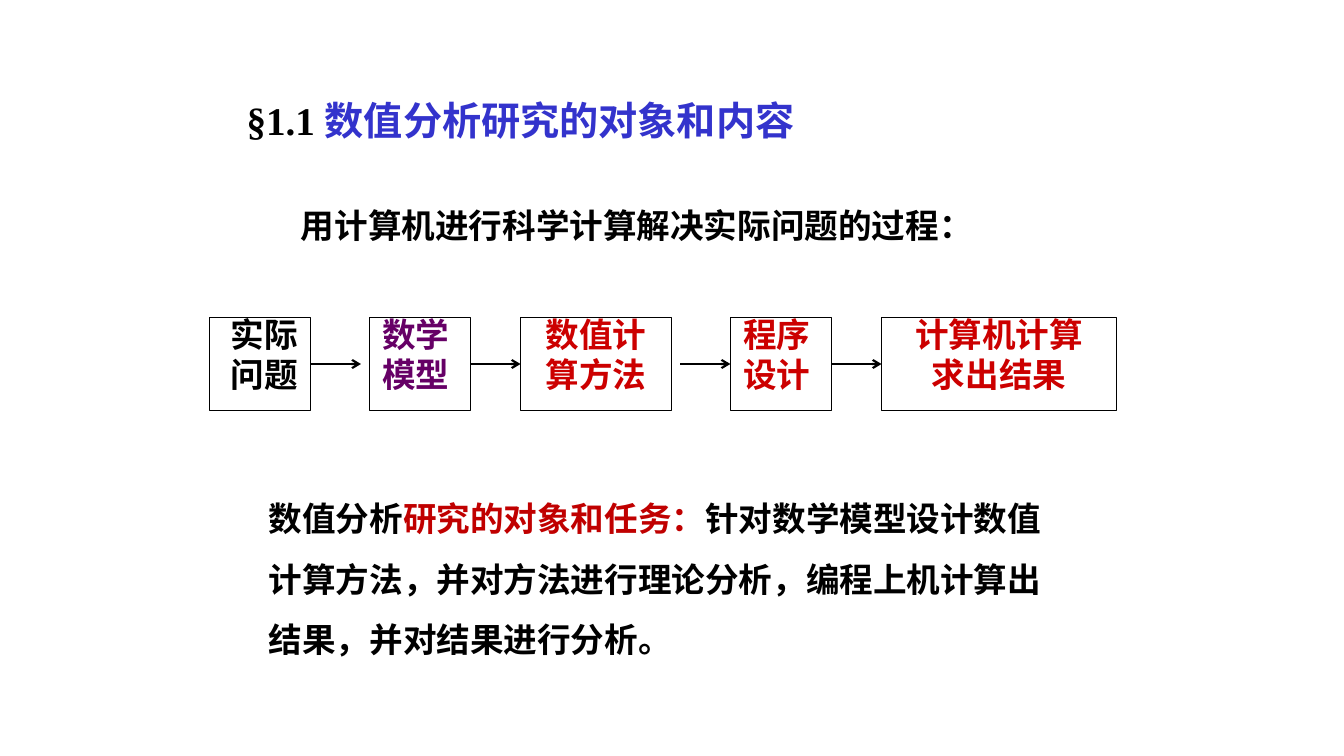
import pptx
import pptx.util
import pptx.dml.color
import pptx.enum.shapes
import pptx.enum.text
import pptx.oxml
import pptx.oxml.ns

Pt = pptx.util.Pt
RGBColor = pptx.dml.color.RGBColor
ALIGN = pptx.enum.text.PP_ALIGN

BLACK = RGBColor(0x00, 0x00, 0x00)
BLUE = RGBColor(0x33, 0x33, 0xCC)
PURPLE = RGBColor(0x66, 0x00, 0x66)
RED = RGBColor(0xCC, 0x00, 0x00)
DARK_RED = RGBColor(0xC0, 0x00, 0x00)

SERIF = "Times New Roman"
CHINESE = "Noto Sans CJK SC"


class SlideBuilder:
    """Holds the text style and the current slide."""

    def __init__(self, slide, size=24):
        self.slide = slide
        self.size = size

    def fill_text(self, shape, paragraphs, size=None, align=ALIGN.LEFT, spacing=1.0,
                  before=0, wrap=True):
        """Each paragraph is a list of (text, font, colour) runs."""
        frame = shape.text_frame
        frame.word_wrap = wrap
        frame.vertical_anchor = pptx.enum.text.MSO_ANCHOR.TOP
        for index, runs in enumerate(paragraphs):
            paragraph = frame.add_paragraph() if index else frame.paragraphs[0]
            paragraph.alignment = align
            paragraph.line_spacing = spacing
            paragraph.space_before = Pt(before)
            for text, font, color in runs:
                run = paragraph.add_run()
                run.text = text
                run.font.size = Pt(size or self.size)
                run.font.bold = True
                run.font.name = font
                run.font.color.rgb = color
                east_asian = pptx.oxml.parse_xml(
                    f'<a:ea {pptx.oxml.ns.nsdecls("a")} typeface="{CHINESE}"/>')
                run.font._element.find(pptx.oxml.ns.qn("a:latin")).addnext(east_asian)

    def title(self, left, top, width, height, runs, size):
        shape = self.slide.shapes.title
        shape.left, shape.top = Pt(left), Pt(top)
        shape.width, shape.height = Pt(width), Pt(height)
        self.fill_text(shape, [runs], size=size, wrap=False)

    def text(self, left, top, width, height, paragraphs, **style):
        shape = self.slide.shapes.add_textbox(Pt(left), Pt(top), Pt(width), Pt(height))
        self.fill_text(shape, paragraphs, **style)

    def box(self, left, top, width, height):
        shape = self.slide.shapes.add_shape(
            pptx.enum.shapes.MSO_SHAPE.RECTANGLE, Pt(left), Pt(top), Pt(width), Pt(height))
        shape.shadow.inherit = False
        shape.fill.background()
        shape.line.color.rgb = BLACK
        shape.line.width = Pt(0.75)
        return shape

    def arrow(self, start, end, y, source, target):
        """Joins each end that touches its box."""
        connector = self.slide.shapes.add_connector(
            pptx.enum.shapes.MSO_CONNECTOR.STRAIGHT, Pt(start), Pt(y), Pt(end), Pt(y))
        if source.left + source.width == Pt(start):
            connector.begin_connect(source, 3)
        if target.left == Pt(end):
            connector.end_connect(target, 1)
        connector.line.color.rgb = BLACK
        connector.line.width = Pt(1.5)
        namespace = pptx.oxml.ns.nsdecls("a")
        connector.line._get_or_add_ln().append(
            pptx.oxml.parse_xml(f'<a:tailEnd {namespace} type="arrow"/>'))
        connector._element.spPr.append(pptx.oxml.parse_xml(f"<a:effectLst {namespace}/>"))


def main():
    presentation = pptx.Presentation()
    presentation.slide_width, presentation.slide_height = Pt(960.5), Pt(540)
    builder = SlideBuilder(presentation.slides.add_slide(presentation.slide_layouts[5]))

    # Heading and introduction
    builder.title(169, 65.5, 413, 41, [
        ("§1.1 ", SERIF, BLACK), ("数值分析研究的对象和内容", CHINESE, BLUE)], size=28)
    builder.text(208, 134, 521, 45, [
        [("用计算机进行科学计算解决实际问题的过程：", SERIF, BLACK)]], spacing=1.3)

    # Process boxes: lines, colour, box left and width, label left and width
    steps = [
        (["实际问题"], BLACK, 150, 72, 150, 78),
        (["数学模型"], PURPLE, 264, 72, 258, 78),
        (["数值计算方法"], RED, 372, 108, 372, 108),
        (["程序设计"], RED, 522, 72, 516, 78),
        (["计算机计算", "求出结果"], RED, 630, 168, 630, 168),
    ]
    box_top, box_height = 227, 66
    boxes = []
    for lines, color, left, width, label_left, label_width in steps:
        boxes.append(builder.box(left, box_top, width, box_height))
        builder.text(label_left, 220.5, label_width, 65,
                     [[(line, CHINESE, color)] for line in lines], align=ALIGN.CENTER)

    # Arrows between neighbouring boxes
    arrow_length = 36
    arrow_starts = [222, 336, 486, 594]
    for start, source, target in zip(arrow_starts, boxes, boxes[1:]):
        builder.arrow(start, start + arrow_length, box_top + box_height / 2, source, target)

    # Object and task
    builder.text(185, 338, 584, 137, [[
        ("数值分析", SERIF, BLACK),
        ("研究的对象和任务：", SERIF, DARK_RED),
        ("针对数学模型设计数值计算方法，并对方法进行理论分析，编程上机计算出结果，并对结果进行分析。",
         SERIF, BLACK),
    ]], spacing=1.5, before=15)

    presentation.save("out.pptx")


if __name__ == "__main__":
    main()
